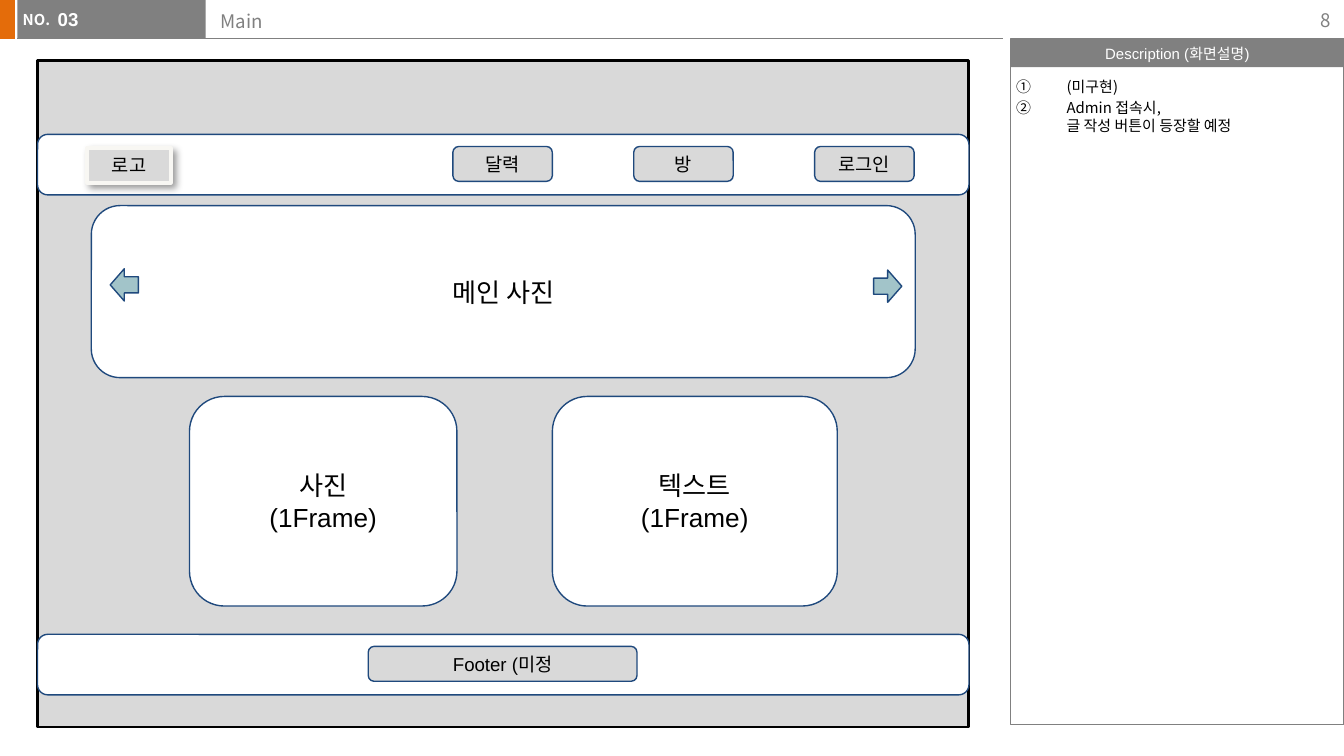
"""Builds the wireframe slide of the main screen with its description panel."""
from lxml import etree
from pptx import Presentation
from pptx.dml.color import RGBColor
from pptx.enum import shapes, text
from pptx.oxml import ns
from pptx.util import Pt

COLORS = {
    "accent": "E46C0A", "gray": "808080", "canvas": "D9D9D9", "white": "FFFFFF",
    "black": "000000", "outline": "1F497D", "arrow": "A2C4C9", "logo_edge": "F8F7F3",
}
LATIN, KOREAN = "Arial", "Noto Sans CJK KR"
KINDS = shapes.MSO_SHAPE
ALIGN = text.PP_ALIGN
ANCHOR = text.MSO_ANCHOR


def color(name):
    return RGBColor.from_string(COLORS[name])


def place(item, box):
    item.left, item.top, item.width, item.height = (Pt(v) for v in box)


def write(frame, words, size, font, ink, align=ALIGN.LEFT, anchor=ANCHOR.TOP,
          insets=(7.2, 3.6, 7.2, 3.6), bold=False, wrap=True):
    frame.text = words
    frame.auto_size = text.MSO_AUTO_SIZE.NONE
    frame.word_wrap = wrap
    frame.vertical_anchor = anchor
    (frame.margin_left, frame.margin_top,
     frame.margin_right, frame.margin_bottom) = (Pt(v) for v in insets)
    for paragraph in frame.paragraphs:
        paragraph.alignment = align
        paragraph.space_before = Pt(0)
        paragraph.line_spacing = Pt(size * 1.2)
        for run in paragraph.runs:
            run.font.size = Pt(size)
            run.font.bold = bold
            run.font.color.rgb = color(ink)
            run.font.name = font
            etree.SubElement(run.font._element, ns.qn("a:ea"), typeface=KOREAN)


def add_block(slide, kind, box, fill=None, line=None, weight=0.75):
    block = slide.shapes.add_shape(kind, *(Pt(v) for v in box))
    block.shadow.inherit = False
    if fill:
        block.fill.solid()
        block.fill.fore_color.rgb = color(fill)
    else:
        block.fill.background()
    if line:
        block.line.color.rgb = color(line)
        block.line.width = Pt(weight)
    else:
        block.line.fill.background()
    return block


def add_panel(slide, box, words="", size=14, fill="white"):
    panel = add_block(slide, KINDS.ROUNDED_RECTANGLE, box, fill, "outline")
    if words:
        write(panel.text_frame, words, size, LATIN, "black", ALIGN.CENTER,
              ANCHOR.MIDDLE, insets=(7.2,) * 4)


def add_label(slide, box, words, size, font, ink, **style):
    label = slide.shapes.add_textbox(*(Pt(v) for v in box))
    write(label.text_frame, words, size, font, ink, **style)


def add_rule(slide, start, end):
    rule = slide.shapes.add_connector(
        shapes.MSO_CONNECTOR.STRAIGHT, *(Pt(v) for v in start + end))
    rule.line.color.rgb = color("gray")
    rule.line.width = Pt(0.5)
    etree.SubElement(rule._element.spPr, ns.qn("a:effectLst"))


def add_logo(slide):
    logo = add_block(slide, KINDS.RECTANGLE, (46.8, 79.2, 44.64, 18.72),
                     "canvas", "logo_edge", 2)
    write(logo.text_frame, "로고", 10, KOREAN, "black", ALIGN.CENTER, ANCHOR.MIDDLE)
    effects = logo._element.spPr.find(ns.qn("a:effectLst"))
    shadow = etree.SubElement(
        effects, ns.qn("a:outerShdw"), blurRad=str(Pt(4)), dist=str(Pt(3)),
        dir="2700000", algn="tl", rotWithShape="0")
    shade = etree.SubElement(shadow, ns.qn("a:srgbClr"), val=COLORS["black"])
    etree.SubElement(shade, ns.qn("a:alpha"), val="40000")


def fill_description(body):
    place(body, (541.44, 38.16, 178.56, 351.36))
    frame = body.text_frame
    frame.text = "(미구현)\nAdmin 접속시,\v글 작성 버튼이 등장할 예정"
    for paragraph in frame.paragraphs:
        properties = paragraph._p.get_or_add_pPr()
        properties.set("marL", str(Pt(27)))
        properties.set("indent", str(Pt(-27)))
        etree.SubElement(properties, ns.qn("a:buFont"), typeface=KOREAN)
        etree.SubElement(properties, ns.qn("a:buAutoNum"), type="circleNumDbPlain")
    style_description(frame)


def style_description(frame):
    frame.auto_size = text.MSO_AUTO_SIZE.NONE
    frame.margin_left, frame.margin_right = Pt(2.88), Pt(0)
    for index, paragraph in enumerate(frame.paragraphs):
        paragraph.space_before = Pt(1.6 * index)
        paragraph.line_spacing = Pt(9.6)
        for run in paragraph.runs:
            run.font.size = Pt(8)
            run.font.color.rgb = color("black")
            run.font.name = KOREAN
            etree.SubElement(run.font._element, ns.qn("a:ea"), typeface=KOREAN)


def add_header(slide):
    add_block(slide, KINDS.RECTANGLE, (-0.72, 0, 8.64, 20.88), "accent")
    add_rule(slide, (9.36, 20.88), (537.12, 20.88))
    add_block(slide, KINDS.RECTANGLE, (9.36, 0, 100.8, 20.88), "gray")
    add_label(slide, (5.04, 2.16, 29.52, 17.28), "NO.", 8, KOREAN, "white",
              bold=True, wrap=False)
    add_label(slide, (30.96, 0.72, 79.2, 22.32), "03", 10, LATIN, "white",
              bold=True, insets=(0, 3.6, 0, 3.6))
    add_label(slide, (676.8, 0, 43.2, 21.6), "8", 10, KOREAN, "gray",
              align=ALIGN.RIGHT, anchor=ANCHOR.MIDDLE)


def add_description_panel(slide):
    heading = add_block(slide, KINDS.RECTANGLE, (541.44, 20.88, 178.56, 15.12), "gray")
    write(heading.text_frame, "Description (화면설명)", 8, LATIN, "white",
          ALIGN.CENTER, ANCHOR.MIDDLE, (6.48, 2.88, 6.48, 2.88), wrap=False)
    add_block(slide, KINDS.RECTANGLE, (541.44, 20.88, 178.56, 367.2), line="gray")


def add_wireframe(slide):
    add_block(slide, KINDS.RECTANGLE, (20.16, 32.4, 498.96, 357.12),
              "canvas", "black", 1.5)
    add_panel(slide, (48.96, 110.16, 441.36, 92.16), "메인 사진")
    add_panel(slide, (101.52, 212.4, 143.28, 112.32), "사진\n(1Frame)")
    add_panel(slide, (295.92, 212.4, 152.64, 112.32), "텍스트\n(1Frame)")
    for top in (72, 339.84):
        add_panel(slide, (20.16, top, 498.96, 32.4))
    for index, menu in enumerate(("달력", "방", "로그인")):
        add_panel(slide, (242.64 + 96.9 * index, 78.48, 53.28, 18.72),
                  menu, 10, "canvas")
    add_panel(slide, (197.28, 346.32, 144, 18.72), "Footer (미정", 10, "canvas")
    for kind, left, top in ((KINDS.LEFT_ARROW, 59.04, 144),
                            (KINDS.RIGHT_ARROW, 468, 144.72)):
        add_block(slide, kind, (left, top, 15.12, 17.28), "arrow", "outline")
    add_logo(slide)


def main():
    deck = Presentation()
    deck.slide_width, deck.slide_height = Pt(720), Pt(405)
    slide = deck.slides.add_slide(deck.slide_layouts[1])
    title = slide.shapes.title
    place(title, (110.88, 1.44, 425.52, 23.04))
    write(title.text_frame, "Main", 10, KOREAN, "gray")
    fill_description(slide.placeholders[1])
    add_header(slide)
    add_description_panel(slide)
    add_wireframe(slide)
    deck.save("out.pptx")


if __name__ == "__main__":
    main()
